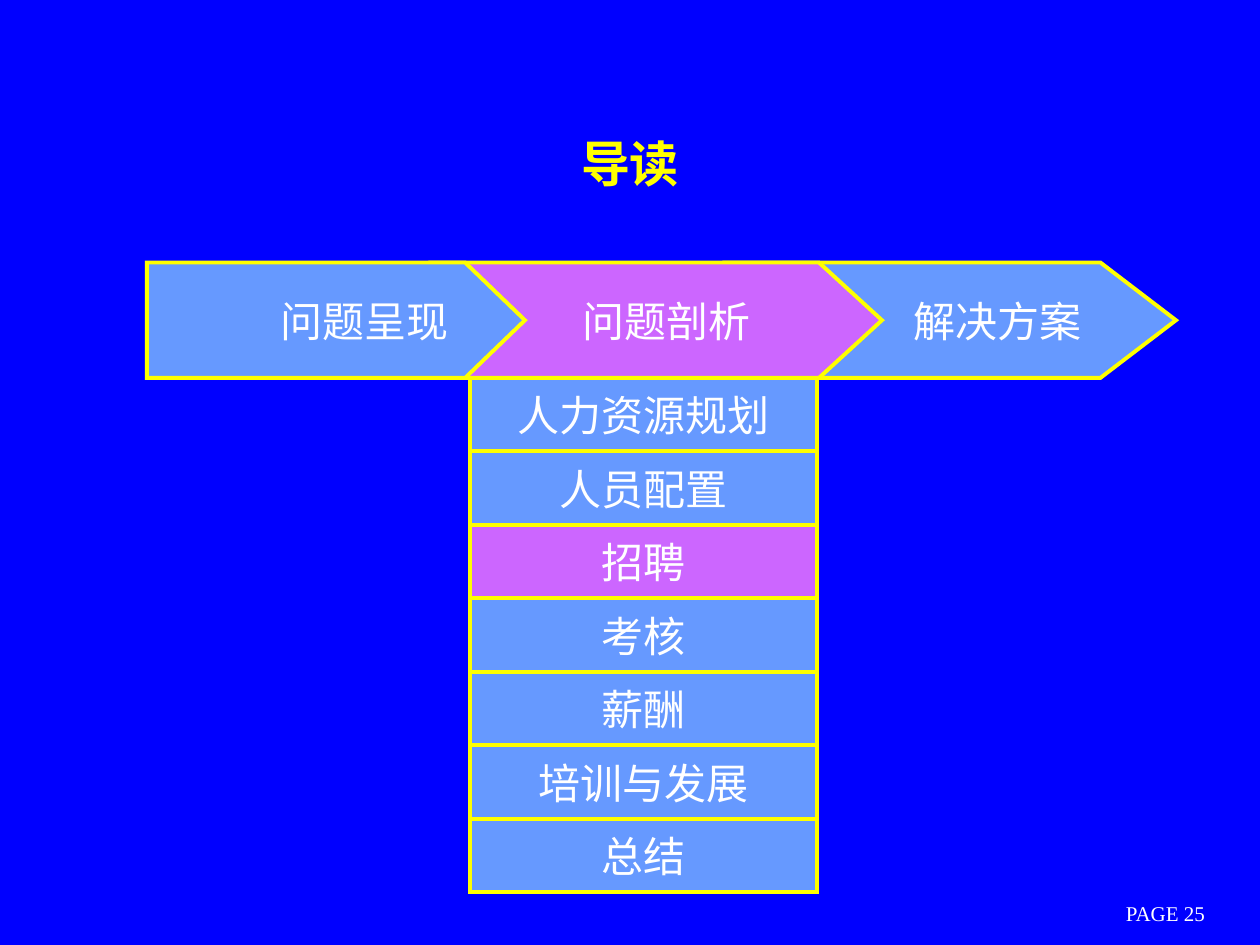
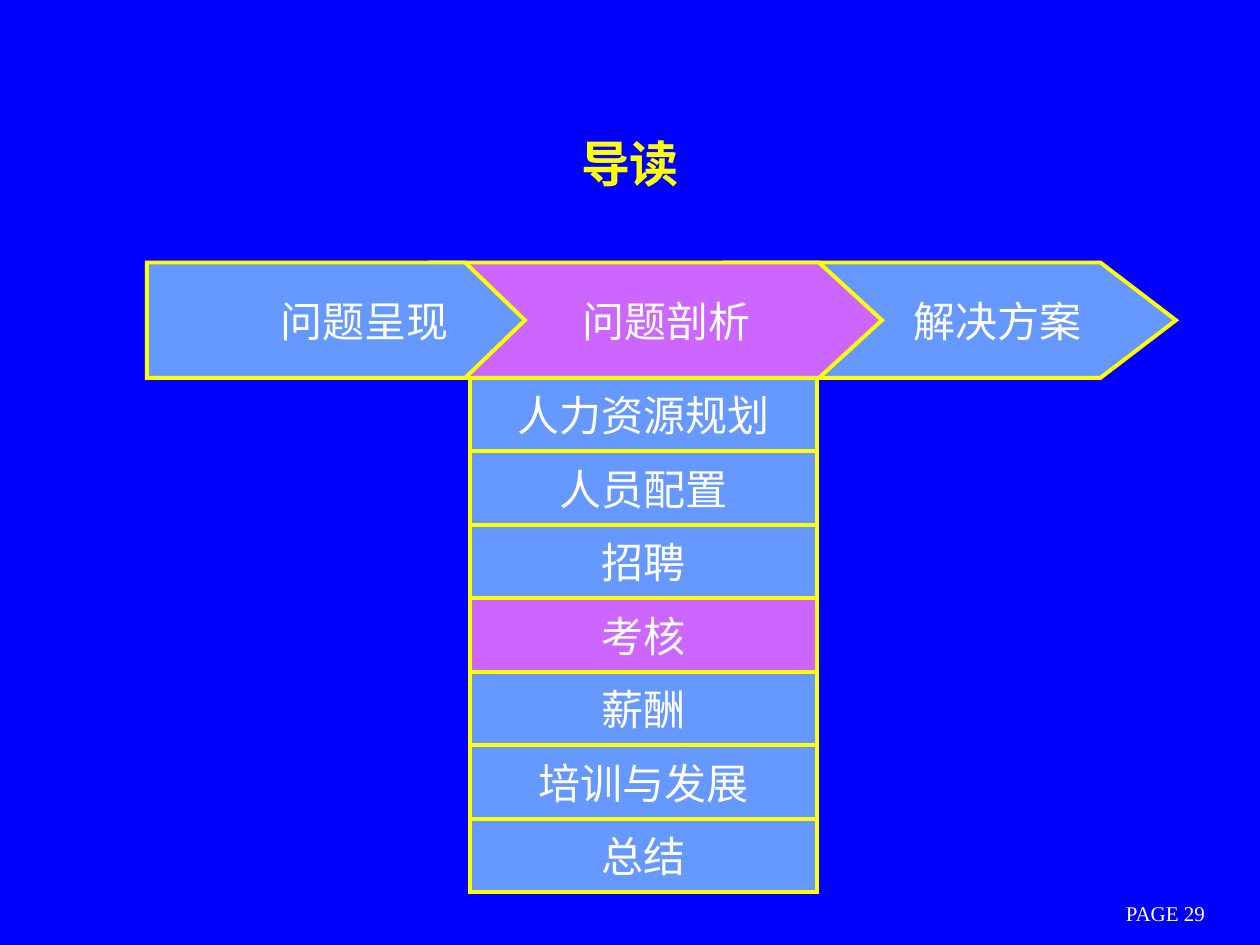
from dataclasses import dataclass

from lxml.etree import SubElement
from pptx import Presentation
from pptx.dml.color import RGBColor as Rgb
from pptx.enum.shapes import MSO_SHAPE as Shape
from pptx.enum.text import MSO_ANCHOR as Anchor, PP_ALIGN as Align
from pptx.oxml.ns import qn
from pptx.util import Emu, Pt

# Content: one entry per slide
TITLE = "导读"
SLIDES = [
    {"page": 25, "current": "招聘"},
    {"page": 29, "current": "考核"},
]
TOPICS = ["人力资源规划", "人员配置", "招聘", "考核", "薪酬", "培训与发展", "总结"]
CURRENT_STAGE = "问题剖析"
# Stages from back to front: label, left, shoulder, tip, label centre
STAGES = [
    ("解决方案", 690, 1048, 1120, 950),
    ("问题剖析", 410, 780, 840, 635),
    ("问题呈现", 140, 443, 500, 347),
]

# Layout in px, 120 to the inch
PX = 7620
PAGE_SIZE = (1200, 900)
TITLE_BOX = (90, 80, 1020, 150)
FOOTER_BOX = (1020, 855, 180, 30)
STAGE_TOP, STAGE_HEIGHT = 250, 110
TOPIC_LEFT, TOPIC_WIDTH, TOPIC_HEIGHT = 448, 330, 70
INSET_X, INSET_Y = 12, 6


@dataclass(frozen=True)
class Theme:
    background: str = "0000FF"
    normal: str = "6699FF"
    current: str = "CC66FF"
    accent: str = "FFFF00"
    text: str = "FFFFFF"
    latin: str = "Times New Roman"
    chinese: str = "Noto Sans CJK SC"
    title_size: int = 28
    label_size: int = 24
    footer_size: int = 12
    line_width: float = 2.25


THEME = Theme()


def px(*lengths):
    return [Emu(length * PX) for length in lengths]


def write(box, text, size, color=THEME.text, font=THEME.latin, bold=False, shift=0):
    """Centre the text in the box, moved right by shift px."""
    frame = box.text_frame
    frame.text = text
    frame.word_wrap = True
    frame.vertical_anchor = Anchor.MIDDLE
    frame.margin_left, frame.margin_right = px(INSET_X + 2 * shift, INSET_X)
    frame.margin_top, frame.margin_bottom = px(INSET_Y, INSET_Y)
    para = frame.paragraphs[0]
    para.alignment = Align.CENTER
    span = para.runs[0]
    span.font.size = Pt(size)
    span.font.bold = bold
    span.font.color.rgb = Rgb.from_string(color)
    span.font.name = font
    SubElement(span.font._element, qn("a:ea"), typeface=THEME.chinese)


def paint(box, is_current):
    box.shadow.inherit = False
    box.fill.solid()
    box.fill.fore_color.rgb = Rgb.from_string(THEME.current if is_current else THEME.normal)
    box.line.color.rgb = Rgb.from_string(THEME.accent)
    box.line.width = Pt(THEME.line_width)
    SubElement(box.line._get_or_add_ln(), qn("a:miter"), lim="800000")


def add_text(page, place, *args, **style):
    write(page.shapes.add_textbox(*px(*place)), *args, **style)


def add_stage(page, label, left, shoulder, tip, centre):
    bottom = STAGE_TOP + STAGE_HEIGHT
    outline = page.shapes.build_freeform(left, STAGE_TOP, scale=PX)
    outline.add_line_segments([
        (shoulder, STAGE_TOP),
        (tip, STAGE_TOP + STAGE_HEIGHT // 2),
        (shoulder, bottom),
        (left, bottom),
    ])
    box = outline.convert_to_shape()
    paint(box, label == CURRENT_STAGE)
    write(box, label, THEME.label_size, shift=centre - (left + tip) // 2)


def add_topic(page, row, label, is_current):
    top = STAGE_TOP + STAGE_HEIGHT + row * TOPIC_HEIGHT
    place = px(TOPIC_LEFT, top, TOPIC_WIDTH, TOPIC_HEIGHT)
    box = page.shapes.add_shape(Shape.RECTANGLE, *place)
    paint(box, is_current)
    write(box, label, THEME.label_size)


def add_page(deck, number, current_topic):
    page = deck.slides.add_slide(deck.slide_layouts[6])
    add_text(page, FOOTER_BOX, f"PAGE {number}", THEME.footer_size)
    add_text(page, TITLE_BOX, TITLE, THEME.title_size,
             color=THEME.accent, font=THEME.chinese, bold=True)
    # Process arrows
    for stage in STAGES:
        add_stage(page, *stage)
    # Topics below the current stage
    for row, label in enumerate(TOPICS):
        add_topic(page, row, label, label == current_topic)


def main():
    deck = Presentation()
    deck.slide_width, deck.slide_height = px(*PAGE_SIZE)
    # Background shared through the master
    fill = deck.slide_master.background.fill
    fill.solid()
    fill.fore_color.rgb = Rgb.from_string(THEME.background)
    for entry in SLIDES:
        add_page(deck, entry["page"], entry["current"])
    deck.save("out.pptx")


if __name__ == "__main__":
    main()
